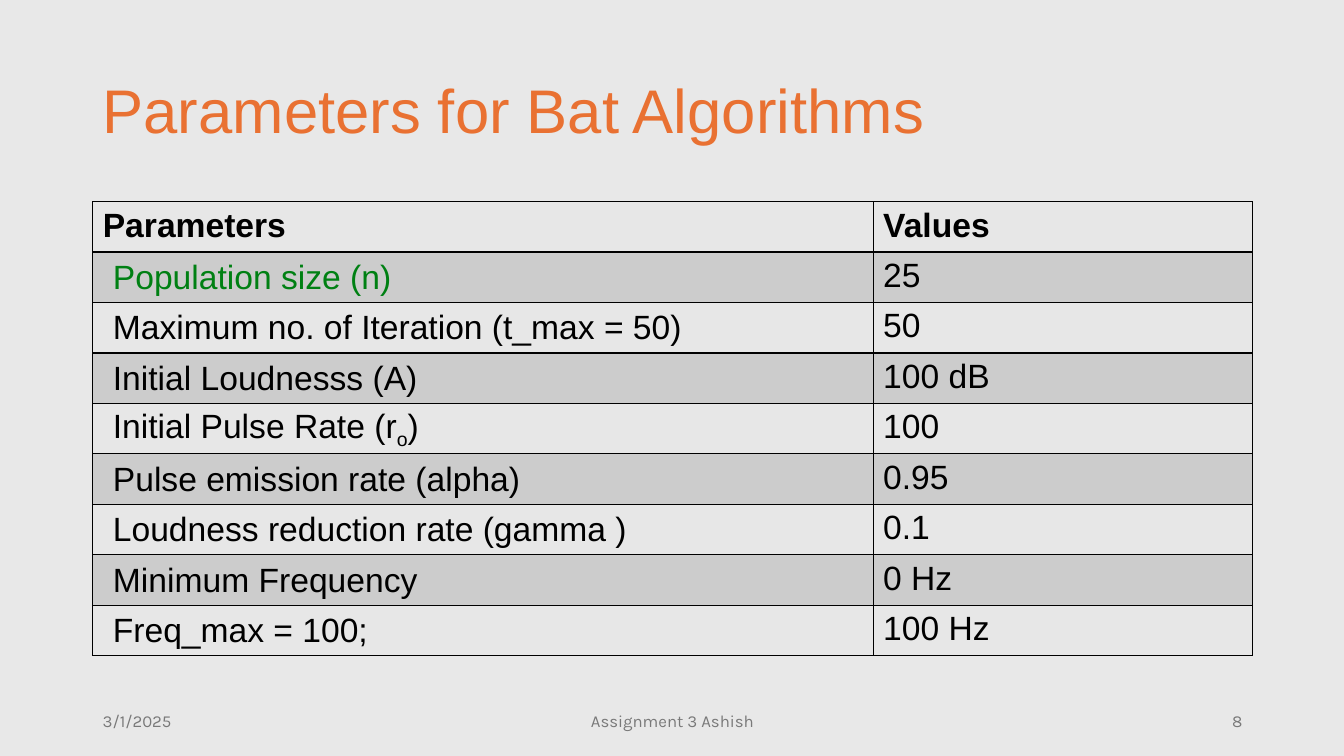
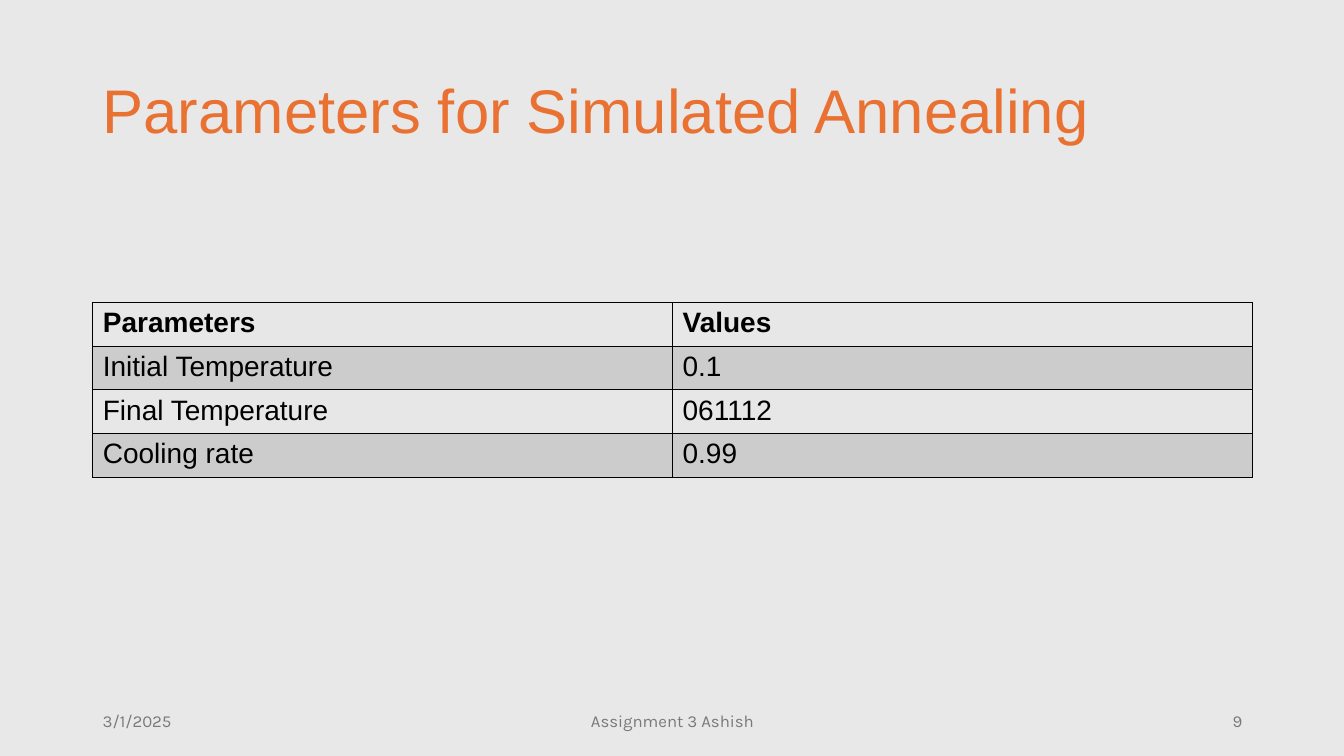
import lxml.etree
import pptx
import pptx.dml.color
import pptx.enum.text
import pptx.oxml.ns
import pptx.util

Inches = pptx.util.Inches
RGBColor = pptx.dml.color.RGBColor
Align = pptx.enum.text.PP_ALIGN
Anchor = pptx.enum.text.MSO_ANCHOR

SLIDE_W, SLIDE_H = 13.33, 7.5
MARGIN = 0.92
CONTENT_W = 11.5
TITLE_BOX = (MARGIN, 0.4, CONTENT_W, 1.45)
FOOTER_TOP, FOOTER_H = 6.95, 0.4

BACKGROUND = RGBColor(0xE8, 0xE8, 0xE8)
ORANGE = RGBColor(0xE9, 0x71, 0x32)
GREEN = RGBColor(0x00, 0x80, 0x13)
BLACK = RGBColor(0x00, 0x00, 0x00)
FOOTER_GREY = RGBColor(0x79, 0x79, 0x79)
BAND_COLORS = (RGBColor(0xE7, 0xE7, 0xE7), RGBColor(0xCC, 0xCC, 0xCC))

BODY_FONT, FOOTER_FONT = "Arial", "Karla"
DATE, FOOTER = "3/1/2025", "Assignment 3 Ashish"

# A label given as a tuple is (text, subscript, text).
BAT_ROWS = [
    ("Parameters", "Values"),
    ("Population size (n)", "25"),
    ("Maximum no. of Iteration (t_max = 50)", "50"),
    ("Initial Loudnesss (A)", "100 dB"),
    (("Initial Pulse Rate (r", "o", ")"), "100"),
    ("Pulse emission rate (alpha)", "0.95"),
    ("Loudness reduction rate (gamma )", "0.1"),
    ("Minimum Frequency", "0 Hz"),
    ("Freq_max = 100;", "100 Hz"),
]
ANNEALING_ROWS = [
    ("Parameters", "Values"),
    ("Initial Temperature", "0.1"),
    ("Final Temperature", "061112"),
    ("Cooling rate", "0.99"),
]


def style_runs(paragraph, font, size, color, bold=False):
    for run in paragraph.runs:
        run.font.name = font
        run.font.size = pptx.util.Pt(size)
        run.font.color.rgb = color
        run.font.bold = bold


def add_text(slide, box, text, font, size, color, align=Align.LEFT):
    frame = slide.shapes.add_textbox(*map(Inches, box)).text_frame
    frame.word_wrap = True
    frame.vertical_anchor = Anchor.MIDDLE
    frame.text = text
    paragraph = frame.paragraphs[0]
    paragraph.alignment = align
    style_runs(paragraph, font, size, color)
    return paragraph


def add_footer(slide, number):
    side_w, middle_w = 3, 4.5
    right = MARGIN + CONTENT_W
    parts = (
        (MARGIN, side_w, DATE, Align.LEFT),
        (MARGIN + (CONTENT_W - middle_w) / 2, middle_w, FOOTER, Align.CENTER),
        (right - side_w, side_w, str(number), Align.RIGHT),
    )
    for left, width, text, align in parts:
        add_text(slide, (left, FOOTER_TOP, width, FOOTER_H), text,
                 FOOTER_FONT, 12, FOOTER_GREY, align)


def add_parameter_slide(deck, title, number):
    slide = deck.slides.add_slide(deck.slide_layouts[6])
    slide.background.fill.solid()
    slide.background.fill.fore_color.rgb = BACKGROUND
    heading = add_text(slide, TITLE_BOX, title, BODY_FONT, 44, ORANGE)
    heading.line_spacing = 0.9
    add_footer(slide, number)
    return slide


def set_borders(cell, color=BLACK, width=1):
    """Outline a cell; the lines must come before its fill in the XML."""
    properties = cell._tc.get_or_add_tcPr()
    qn = pptx.oxml.ns.qn
    for index, side in enumerate("LRTB"):
        line = lxml.etree.Element(qn(f"a:ln{side}"), w=str(pptx.util.Pt(width)))
        fill = lxml.etree.SubElement(line, qn("a:solidFill"))
        lxml.etree.SubElement(fill, qn("a:srgbClr"), val=str(color))
        properties.insert(index, line)


def write_label(paragraph, label):
    if isinstance(label, str):
        paragraph.text = label
        return
    for part in label:
        paragraph.add_run().text = part
    paragraph.runs[1]._r.get_or_add_rPr().set("baseline", "-25000")


def indent_label(cell):
    cell.vertical_anchor = Anchor.MIDDLE
    cell.margin_left = Inches(0.2)
    cell.margin_top = cell.margin_right = Inches(0.01)
    cell.margin_bottom = 0


def add_parameter_table(slide, rows, top, row_h, label_w, size,
                        indented=False, highlighted=None):
    """Fill the content width; highlighted is the row whose label is green."""
    table = slide.shapes.add_table(
        len(rows), 2, Inches(MARGIN), Inches(top),
        Inches(CONTENT_W), Inches(row_h * len(rows))).table
    table.horz_banding = False
    for column, width in zip(table.columns, (label_w, CONTENT_W - label_w)):
        column.width = Inches(width)
    for r, row in enumerate(rows):
        table.rows[r].height = Inches(row_h)
        for c, label in enumerate(row):
            cell = table.cell(r, c)
            cell.fill.solid()
            cell.fill.fore_color.rgb = BAND_COLORS[r % 2]
            set_borders(cell)
            is_label = r > 0 and c == 0
            if indented and is_label:
                indent_label(cell)
            paragraph = cell.text_frame.paragraphs[0]
            write_label(paragraph, label)
            color = GREEN if is_label and r == highlighted else BLACK
            style_runs(paragraph, BODY_FONT, size, color, bold=r == 0)


def main():
    deck = pptx.Presentation()
    deck.slide_width, deck.slide_height = Inches(SLIDE_W), Inches(SLIDE_H)

    bat = add_parameter_slide(deck, "Parameters for Bat Algorithms", 8)
    add_parameter_table(bat, BAT_ROWS, top=2, row_h=0.47, label_w=7.74,
                        size=24, indented=True, highlighted=1)

    annealing = add_parameter_slide(deck, "Parameters for Simulated Annealing", 9)
    add_parameter_table(annealing, ANNEALING_ROWS, top=3, row_h=0.41,
                        label_w=CONTENT_W / 2, size=20)

    deck.save("out.pptx")


if __name__ == "__main__":
    main()
